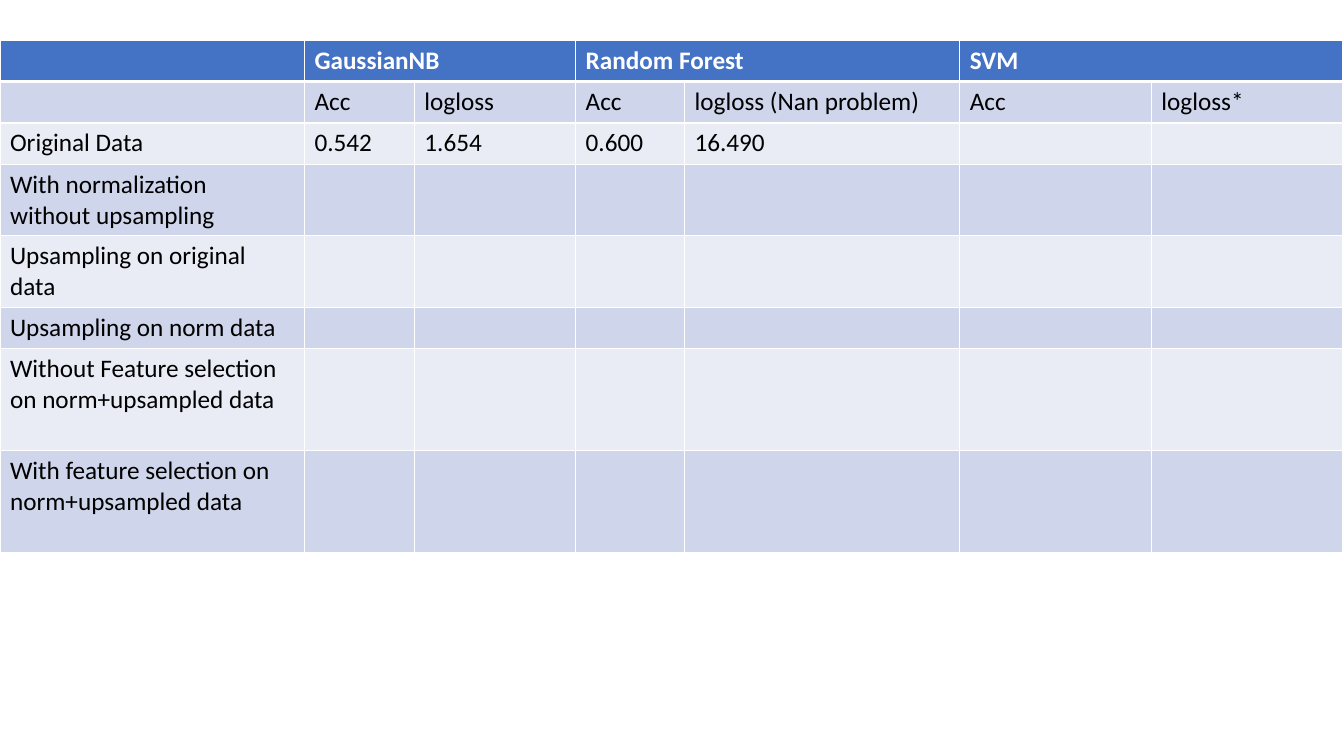
from lxml import etree
from pptx import Presentation
from pptx.dml.color import RGBColor
from pptx.oxml.ns import qn
from pptx.util import Inches, Pt

WHITE = RGBColor(0xFF, 0xFF, 0xFF)
BLACK = RGBColor(0, 0, 0)
BLUE = RGBColor(0x44, 0x72, 0xC4)
BANDS = [RGBColor(0xE9, 0xEB, 0xF5), RGBColor(0xCF, 0xD5, 0xEA)]

WIDTHS = [3.02, 1.09, 1.6, 1.08, 2.73, 1.9, 1.9]
ONE, TWO, THREE = 0.41, 0.71, 1.01
HEIGHTS = [ONE, ONE, ONE, TWO, TWO, ONE, THREE, THREE]
MODELS = ["GaussianNB", "Random Forest", "SVM"]
ROWS = [
    ["", "Acc", "logloss", "Acc", "logloss (Nan problem)", "Acc", "logloss*"],
    ["Original Data", "0.542", "1.654", "0.600", "16.490"],
    ["With normalization\nwithout upsampling"],
    ["Upsampling on original data"],
    ["Upsampling on norm data"],
    ["Without Feature selection on norm+upsampled data"],
    ["With feature selection on norm+upsampled data"],
]


def write(frame, text, font="Calibri", size=18, color=BLACK, bold=False):
    """Put text in a frame, one paragraph a line, and format it."""
    frame.text = text
    for par in frame.paragraphs:
        par.font.size = Pt(size)
        for run in par.runs:
            run.font.name = font
            run.font.size = Pt(size)
            run.font.color.rgb = color
            run.font.bold = bold


def border(cell, side, width):
    """Draw a white line on one side of a cell."""
    props = cell._tc.get_or_add_tcPr()
    line = etree.SubElement(props, qn("a:ln" + side), w=str(Pt(width)))
    fill = etree.SubElement(line, qn("a:solidFill"))
    etree.SubElement(fill, qn("a:srgbClr"), val=str(WHITE))


class Deck:
    """Holds the style and the current slide."""

    def __init__(self, width, height):
        """Start a deck with one blank slide."""
        self.show = Presentation()
        self.show.slide_width = Inches(width)
        self.show.slide_height = Inches(height)
        self.slide = self.show.slides.add_slide(self.show.slide_layouts[6])

    def cell(self, cell, text, row):
        """Fill, frame and write one cell; row 0 is the header."""
        head = row == 0
        sides = {"L": 1, "R": 1, "T": 3 if row == 1 else 1, "B": 3 if head else 1}
        for side, width in sides.items():
            border(cell, side, width)
        cell.fill.solid()
        cell.fill.fore_color.rgb = BLUE if head else BANDS[row % 2]
        write(cell.text_frame, text, color=WHITE if head else BLACK, bold=head)

    def table(self, left, top, widths, heights, rows):
        """Add a table with a header and banded rows."""
        grid = self.slide.shapes.add_table(
            len(heights), len(widths), Inches(left), Inches(top),
            Inches(sum(widths)), Inches(sum(heights))).table
        for col, width in zip(grid.columns, widths):
            col.width = Inches(width)
        for row, height in zip(grid.rows, heights):
            row.height = Inches(height)
        for r, texts in enumerate(rows):
            for c in range(len(widths)):
                text = texts[c] if c < len(texts) else ""
                self.cell(grid.cell(r, c), text, r)
        return grid


deck = Deck(13.33, 7.5)
header = [""]
for model in MODELS:
    header += [model, ""]
scores = deck.table(0, 0.4, WIDTHS, HEIGHTS, [header] + ROWS)
for first in range(1, len(WIDTHS), 2):
    scores.cell(0, first).merge(scores.cell(0, first + 1))
deck.show.save("out.pptx")
